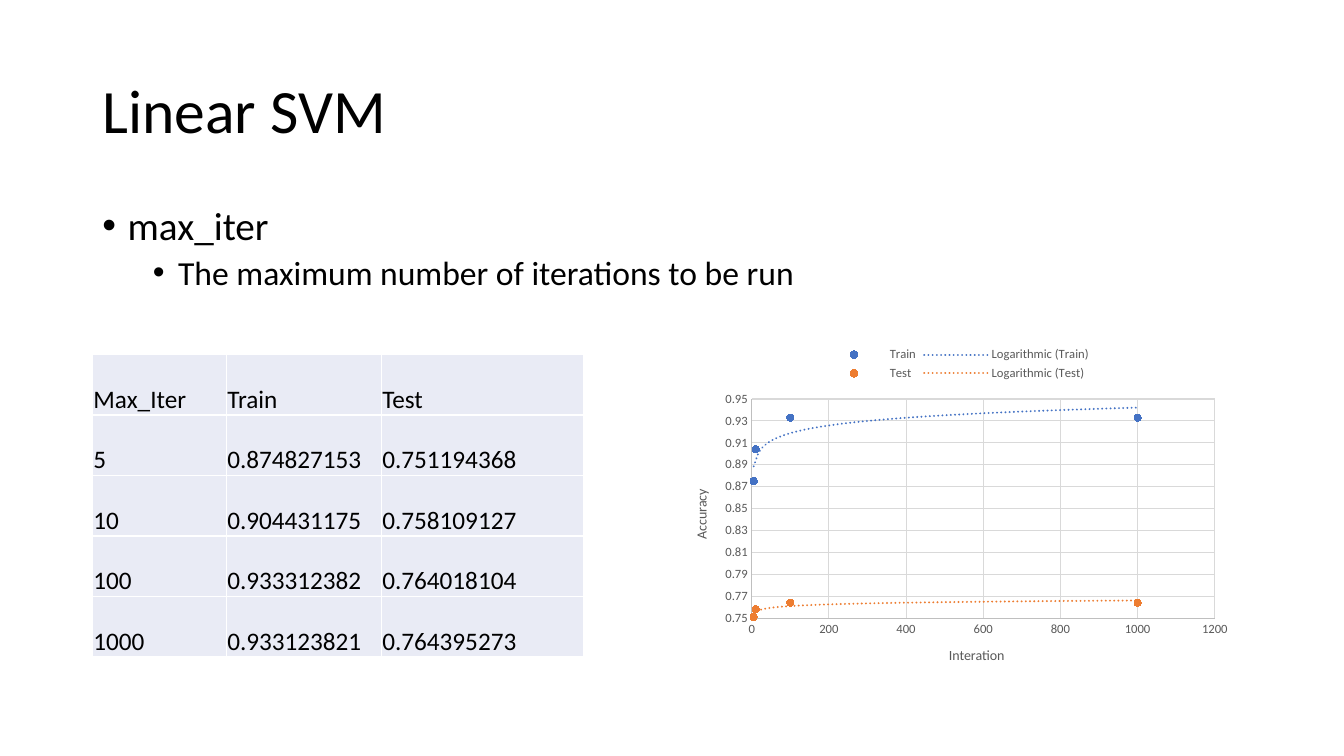
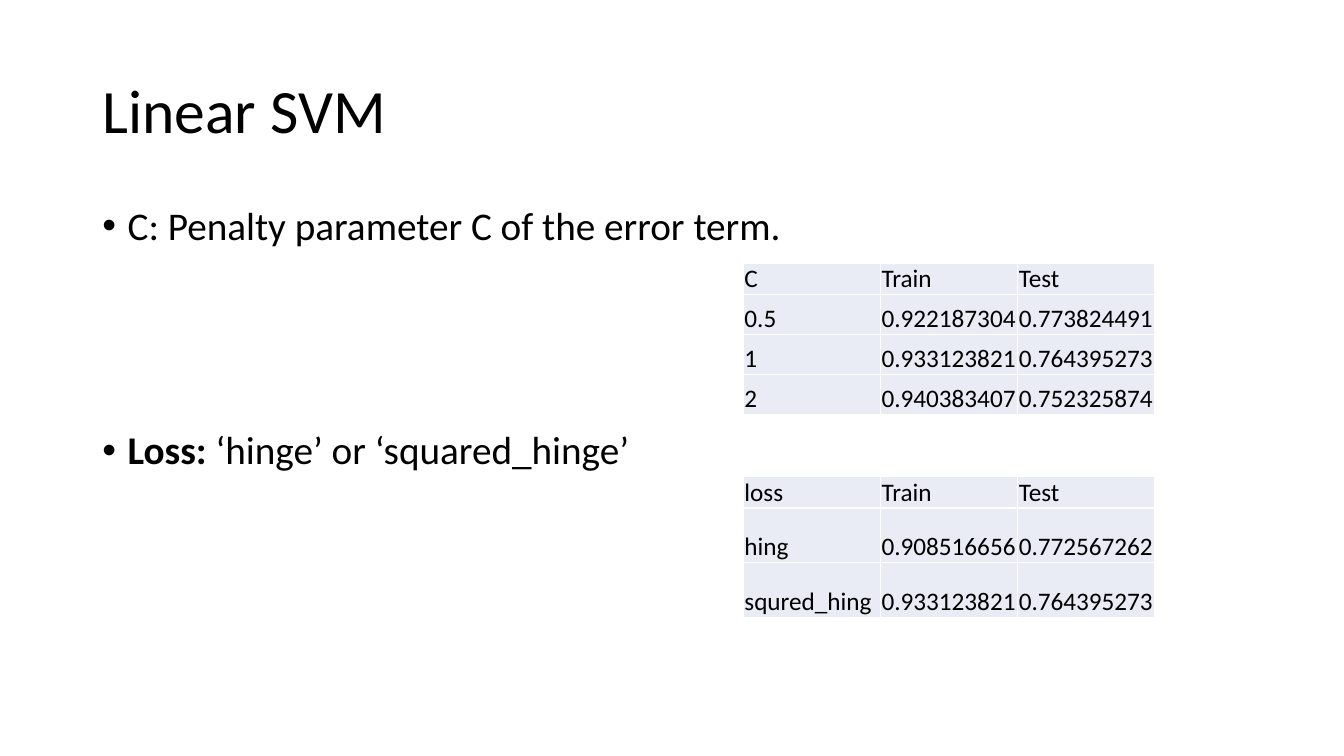
from collections import namedtuple
from dataclasses import dataclass

from lxml import etree
from pptx import Presentation
from pptx.chart.data import XyChartData
from pptx.dml.color import RGBColor
from pptx.enum.chart import XL_CHART_TYPE as ChartType
from pptx.enum.chart import XL_LEGEND_POSITION as LegendSpot
from pptx.enum.chart import XL_MARKER_STYLE as Marker
from pptx.enum.chart import XL_TICK_MARK as Tick
from pptx.enum.text import MSO_ANCHOR as Anchor
from pptx.enum.text import MSO_AUTO_SIZE as AutoSize
from pptx.enum.text import PP_ALIGN as Align
from pptx.oxml import parse_xml
from pptx.oxml.ns import nsdecls, qn
from pptx.util import Inches, Pt


@dataclass(frozen=True)
class Theme:
    font: str = "Calibri"
    ink: str = "000000"
    cell: str = "E9EBF5"
    border: str = "FFFFFF"
    label: str = "595959"
    axis: str = "BFBFBF"
    grid: str = "D9D9D9"
    series: tuple = ("4472C4", "ED7D31")
    title_size: int = 44
    body_sizes: tuple = (28, 24)
    body_gaps: tuple = (10, 5)
    table_size: int = 18
    axis_title_size: int = 10
    label_size: int = 9


THEME = Theme()
SLIDE_W, SLIDE_H = Inches(13.33), Inches(7.5)
COLUMNS, ROWS = 160, 90

Box = namedtuple("Box", "left top width height")
Bullet = namedtuple("Bullet", "runs level gap", defaults=(0, None))


def grid_box(column, row, columns, rows):
    """Box measured in columns and rows of the slide grid."""
    return Box(int(SLIDE_W * column / COLUMNS), int(SLIDE_H * row / ROWS),
               int(SLIDE_W * columns / COLUMNS), int(SLIDE_H * rows / ROWS))


# Regions of the slides
TITLE = grid_box(11, 4.8, 138, 17.4)
BODY = grid_box(11, 24, 138, 57)
ITER_TABLE = grid_box(11, 42.2, 58.5, 36)
ITER_CHART = grid_box(80, 40, 67.5, 41.5)
C_TABLE = grid_box(88.5, 31.3, 49, 18)
LOSS_TABLE = grid_box(88.5, 56.7, 49, 16.7)

# Results
ITER_RESULTS = [
    ("Max_Iter", "Train", "Test"),
    ("5", "0.874827153", "0.751194368"),
    ("10", "0.904431175", "0.758109127"),
    ("100", "0.933312382", "0.764018104"),
    ("1000", "0.933123821", "0.764395273"),
]
C_RESULTS = [
    ("C", "Train", "Test"),
    ("0.5", "0.922187304", "0.773824491"),
    ("1", "0.933123821", "0.764395273"),
    ("2", "0.940383407", "0.752325874"),
]
LOSS_RESULTS = [
    ("loss", "Train", "Test"),
    ("hing", "0.908516656", "0.772567262"),
    ("squred_hing", "0.933123821", "0.764395273"),
]


def color(code):
    return RGBColor.from_string(code)


def style_font(font, size, ink, bold=False):
    font.name, font.size, font.bold = THEME.font, Pt(size), bold
    font.color.rgb = color(ink)


def write(paragraph, text, size, ink=THEME.ink, bold=False, align=Align.LEFT,
          spacing=None, before=None):
    """Add one formatted run and set the paragraph format."""
    run = paragraph.add_run()
    run.text = text
    style_font(run.font, size, ink, bold)
    paragraph.alignment = align
    if spacing is not None:
        paragraph.line_spacing = spacing
    if before is not None:
        paragraph.space_before = Pt(before)


def place(shape, box):
    shape.left, shape.top, shape.width, shape.height = box


def set_bullet(paragraph, level):
    paragraph.level = level
    props = paragraph._p.get_or_add_pPr()
    props.set("marL", str(Inches(0.25 + 0.5 * level)))
    props.set("indent", str(Inches(-0.25)))
    etree.SubElement(props, qn("a:buFont")).set("typeface", "Arial")
    etree.SubElement(props, qn("a:buChar")).set("char", "•")


def add_title(slide, text, box):
    title = slide.shapes.title
    place(title, box)
    frame = title.text_frame
    frame.auto_size, frame.vertical_anchor = AutoSize.NONE, Anchor.MIDDLE
    write(frame.paragraphs[0], text, THEME.title_size, spacing=0.9, before=0)


def add_bullets(slide, bullets, box):
    body = slide.placeholders[1]
    place(body, box)
    frame = body.text_frame
    frame.auto_size, frame.vertical_anchor = AutoSize.NONE, Anchor.TOP
    for index, bullet in enumerate(bullets):
        paragraph = frame.add_paragraph() if index else frame.paragraphs[0]
        set_bullet(paragraph, bullet.level)
        gap = bullet.gap or THEME.body_gaps[bullet.level]
        for text, bold in bullet.runs:
            write(paragraph, text, THEME.body_sizes[bullet.level], bold=bold,
                  spacing=0.9, before=gap if index else 0)


def set_borders(cell):
    props = cell._tc.get_or_add_tcPr()
    for index, side in enumerate(("lnL", "lnR", "lnT", "lnB")):
        props.insert(index, parse_xml(
            f'<a:{side} {nsdecls("a")} w="{Pt(1)}"><a:solidFill>'
            f'<a:srgbClr val="{THEME.border}"/></a:solidFill></a:{side}>'))


def add_results(slide, results, box, widths=(1, 1, 1), header=1.0):
    """Table of results; widths and header height are relative measures."""
    table = slide.shapes.add_table(len(results), len(widths), *box).table
    table.first_row = table.horz_banding = False
    for column, width in zip(table.columns, widths):
        column.width = int(box.width * width / sum(widths))
    unit = box.height / (header + len(results) - 1)
    for index, values in enumerate(results):
        table.rows[index].height = int(unit * (1 if index else header))
        for cell, value in zip(table.rows[index].cells, values):
            cell.fill.solid()
            cell.fill.fore_color.rgb = color(THEME.cell)
            cell.margin_left = cell.margin_right = cell.margin_top = Inches(0.01)
            cell.margin_bottom = 0
            cell.vertical_anchor = Anchor.BOTTOM
            set_borders(cell)
            write(cell.text_frame.paragraphs[0], value, THEME.table_size)


def style_axis(axis, title, low, high, step):
    axis.minimum_scale, axis.maximum_scale, axis.major_unit = low, high, step
    axis.major_tick_mark = axis.minor_tick_mark = Tick.NONE
    axis.has_major_gridlines = True
    for line, ink in ((axis.format.line, THEME.axis),
                      (axis.major_gridlines.format.line, THEME.grid)):
        line.color.rgb, line.width = color(ink), Pt(0.75)
    axis.tick_labels.number_format = "General"
    axis.tick_labels.number_format_is_linked = False
    style_font(axis.tick_labels.font, THEME.label_size, THEME.label)
    write(axis.axis_title.text_frame.paragraphs[0], title,
          THEME.axis_title_size, ink=THEME.label, align=Align.CENTER)


def add_log_trend(series, ink):
    trend = parse_xml(
        f'<c:trendline {nsdecls("c", "a")}><c:spPr>'
        f'<a:ln w="{Pt(1.5)}" cap="rnd"><a:solidFill><a:srgbClr val="{ink}"/>'
        '</a:solidFill><a:prstDash val="sysDot"/></a:ln></c:spPr>'
        '<c:trendlineType val="log"/><c:dispRSqr val="0"/>'
        '<c:dispEq val="0"/></c:trendline>')
    series._element.find(qn("c:xVal")).addprevious(trend)


def add_accuracy_chart(slide, results, box):
    """Scatter of accuracy by iterations, with logarithmic trends."""
    header, *rows = results
    data = XyChartData()
    for column, name in enumerate(header[1:], start=1):
        points = data.add_series(name)
        for row in rows:
            points.add_data_point(int(row[0]), round(float(row[column]), 3))
    chart = slide.shapes.add_chart(ChartType.XY_SCATTER, *box, data).chart
    style_font(chart.font, THEME.axis_title_size, THEME.ink)
    chart.has_title = False
    chart.plots[0].vary_by_categories = False

    # Legend and axes
    chart.has_legend = True
    chart.legend.position = LegendSpot.TOP
    chart.legend.include_in_layout = False
    style_font(chart.legend.font, THEME.label_size, THEME.label)
    style_axis(chart.category_axis, "Interation", 0, 1200, 200)
    style_axis(chart.value_axis, "Accuracy", 0.75, 0.95, 0.02)

    # Points and trends
    for series, ink in zip(chart.plots[0].series, THEME.series):
        series.format.line.fill.background()
        marker = series.marker
        marker.style, marker.size = Marker.CIRCLE, 5
        marker.format.fill.solid()
        marker.format.fill.fore_color.rgb = color(ink)
        marker.format.line.color.rgb = color(ink)
        add_log_trend(series, ink)


def add_topic(deck, title, bullets):
    """Slide with the shared title and bullet list."""
    slide = deck.slides.add_slide(deck.slide_layouts[1])
    add_title(slide, title, TITLE)
    add_bullets(slide, bullets, BODY)
    return slide


def add_iteration_slide(deck):
    slide = add_topic(deck, "Linear SVM", [
        Bullet([("max_iter", False)]),
        Bullet([("The maximum number of iterations to be run", False)], level=1),
    ])
    add_results(slide, ITER_RESULTS, ITER_TABLE, widths=(1.33, 1.54, 2.01))
    add_accuracy_chart(slide, ITER_RESULTS, ITER_CHART)


def add_penalty_slide(deck):
    slide = add_topic(deck, "Linear SVM", [
        Bullet([("C: Penalty parameter C of the error term.", False)]),
        Bullet([("Loss: ", True), ("‘hinge’ or ‘squared_hinge’", False)], gap=130),
    ])
    add_results(slide, C_RESULTS, C_TABLE, header=0.78)
    add_results(slide, LOSS_RESULTS, LOSS_TABLE, header=0.57)


def main():
    deck = Presentation()
    deck.slide_width, deck.slide_height = SLIDE_W, SLIDE_H
    add_iteration_slide(deck)
    add_penalty_slide(deck)
    deck.save("out.pptx")


if __name__ == "__main__":
    main()
